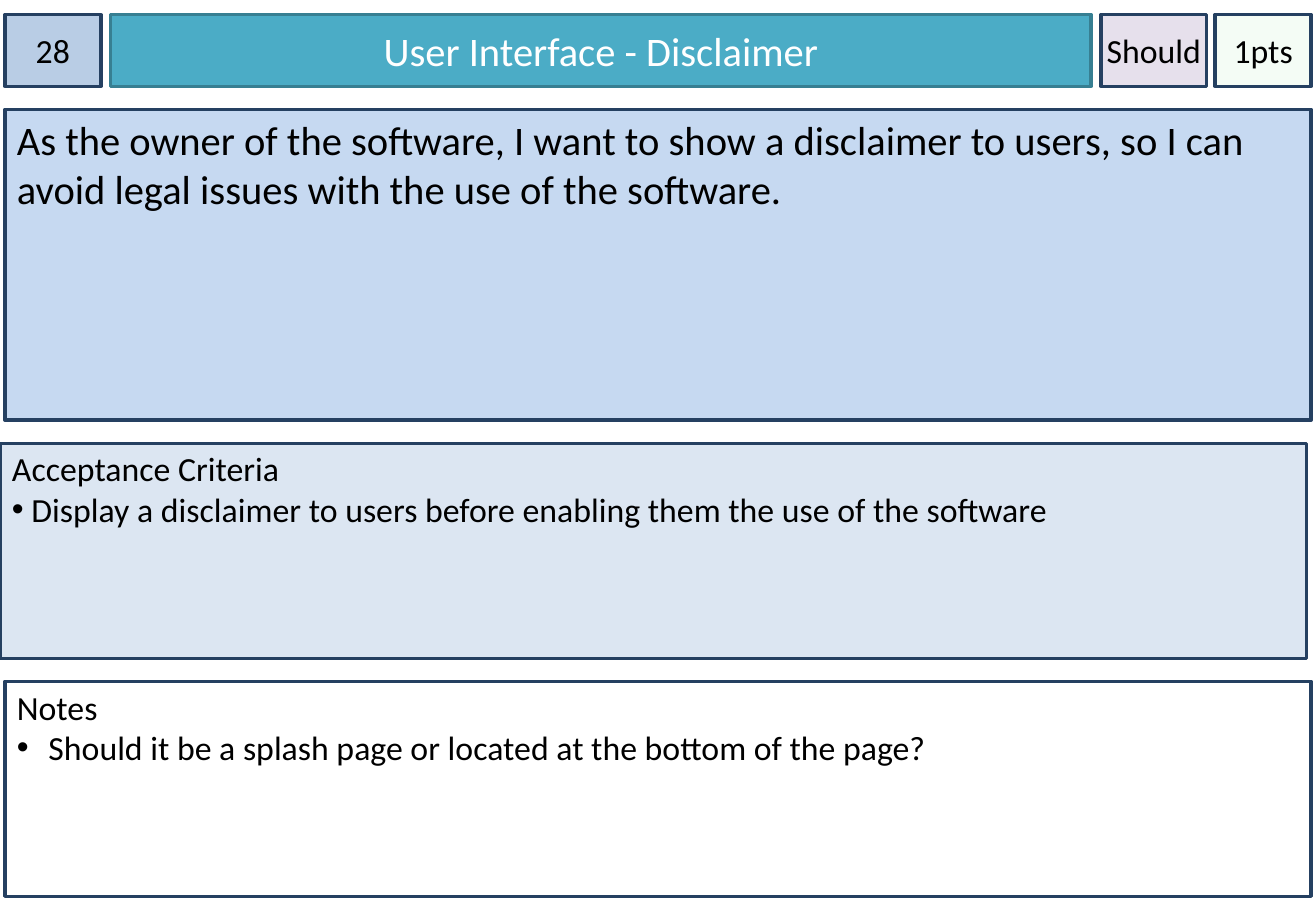
from lxml import etree
from pptx import Presentation
from pptx.dml.color import RGBColor as Rgb
from pptx.enum.shapes import MSO_SHAPE as Shape
from pptx.enum.text import MSO_ANCHOR as Anchor, PP_ALIGN as Align
from pptx.oxml.ns import qn
from pptx.util import Pt

PX = 9144
HUES = {
    "ink": "000000", "white": "FFFFFF", "navy": "254061", "teal": "4BACC6",
    "edge": "377F92", "badge": "B9CDE5", "story": "C6D9F1",
    "tests": "DCE6F2", "points": "CCF0CD", "rank": "E6E0EC",
}


def write(para, text, size=20, hue="ink", align=Align.LEFT, hang=0):
    para.alignment = align
    if hang:
        props = para._p.get_or_add_pPr()
        props.set("marL", str(hang * PX))
        props.set("indent", str(-hang * PX))
        etree.SubElement(props, qn("a:buFont")).set("typeface", "Arial")
        etree.SubElement(props, qn("a:buChar")).set("char", "•")
    run = para.add_run()
    run.text = text
    run.font.name = "Calibri"
    run.font.size = Pt(size)
    run.font.color.rgb = Rgb.from_string(HUES[hue])


class Card:
    def __init__(self, wide, high):
        self.deck = Presentation()
        self.deck.slide_width = wide * PX
        self.deck.slide_height = high * PX
        self.slide = self.deck.slides.add_slide(self.deck.slide_layouts[6])

    def box(self, x, y, w, h, fill, edge="navy", alpha=100):
        box = self.slide.shapes.add_shape(
            Shape.RECTANGLE, x * PX, y * PX, w * PX, h * PX)
        box.shadow.inherit = False
        box.fill.solid()
        box.fill.fore_color.rgb = Rgb.from_string(HUES[fill])
        box.line.color.rgb = Rgb.from_string(HUES[edge])
        box.line.width = Pt(2)
        if alpha < 100:
            tint = box._element.spPr.find(qn("a:solidFill"))[0]
            etree.SubElement(tint, qn("a:alpha")).set("val", str(alpha * 1000))
        return box.text_frame

    def head(self, x, w, text, fill, edge="navy", alpha=100, wrap=True,
             side=0, size=20, hue="ink"):
        frame = self.box(x, 12, w, 59, fill, edge, alpha)
        frame.word_wrap = wrap
        frame.vertical_anchor = Anchor.MIDDLE
        frame.margin_left = frame.margin_right = side * PX
        write(frame.paragraphs[0], text, size, hue, Align.CENTER)

    def panel(self, x, y, h, fill, text, size=20, top=4, point="", hang=0):
        frame = self.box(x, y, 1075, h, fill)
        frame.word_wrap = True
        frame.vertical_anchor = Anchor.TOP
        frame.margin_top = top * PX
        write(frame.paragraphs[0], text, size)
        if point:
            write(frame.add_paragraph(), point, size, hang=hang)


def main():
    card = Card(1083, 750)
    card.head(4, 79, "28", "badge")
    card.head(91, 807, "User Interface - Disclaimer", "teal", "edge",
              side=10, size=24, hue="white")
    card.panel(4, 90, 256, "story",
               "As the owner of the software, I want to show a disclaimer to "
               "users, so I can avoid legal issues with the use of the software.",
               size=24, top=5)
    card.panel(0, 365, 177, "tests", "Acceptance Criteria", hang=16,
               point="Display a disclaimer to users before enabling them "
                     "the use of the software")
    card.head(1000, 79, "1pts", "points", alpha=20)
    card.head(906, 87, "Should", "rank", wrap=False)
    card.panel(4, 561, 177, "white", "Notes", hang=26,
               point="Should it be a splash page or located at the bottom "
                     "of the page?")
    card.deck.save("out.pptx")


if __name__ == "__main__":
    main()
